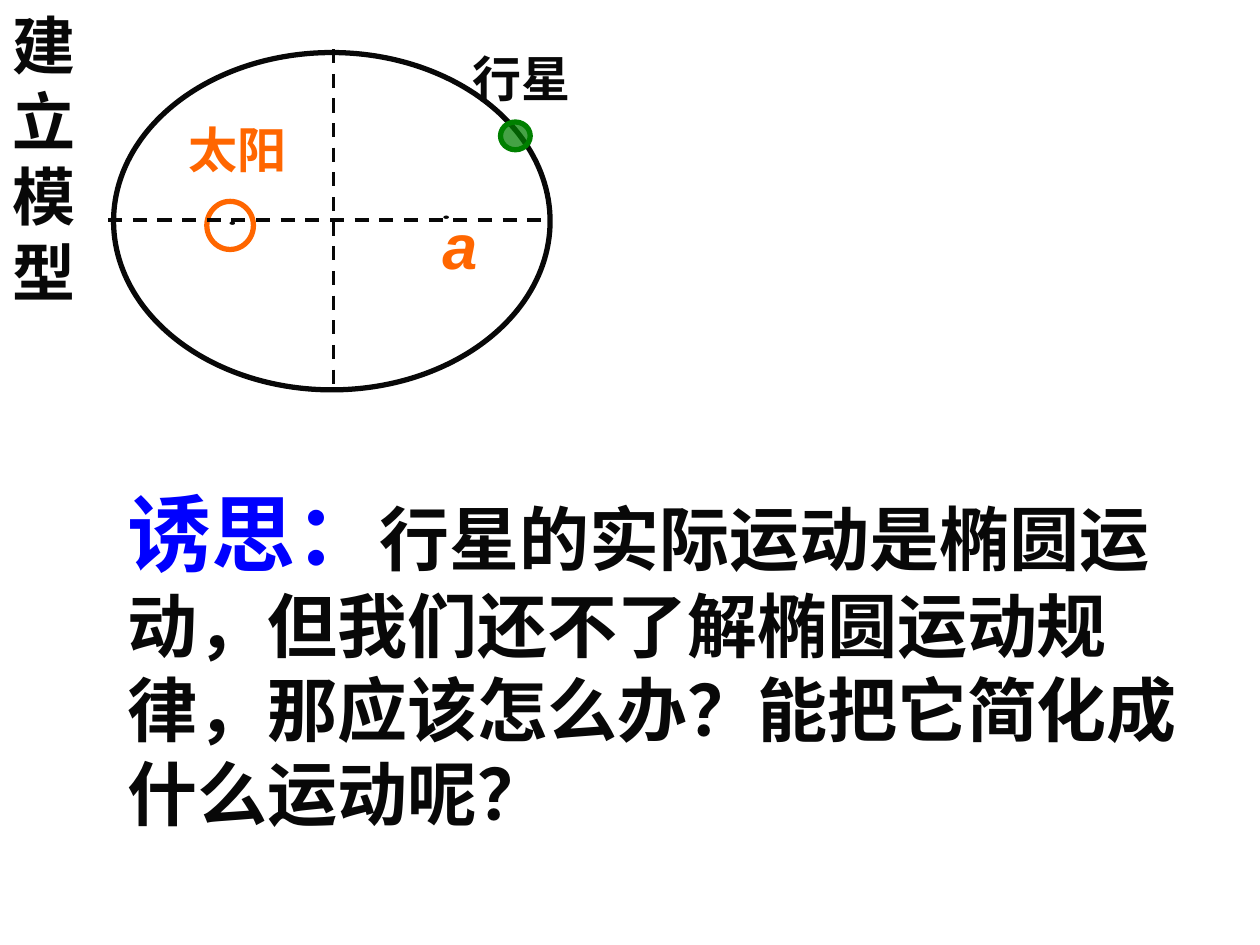
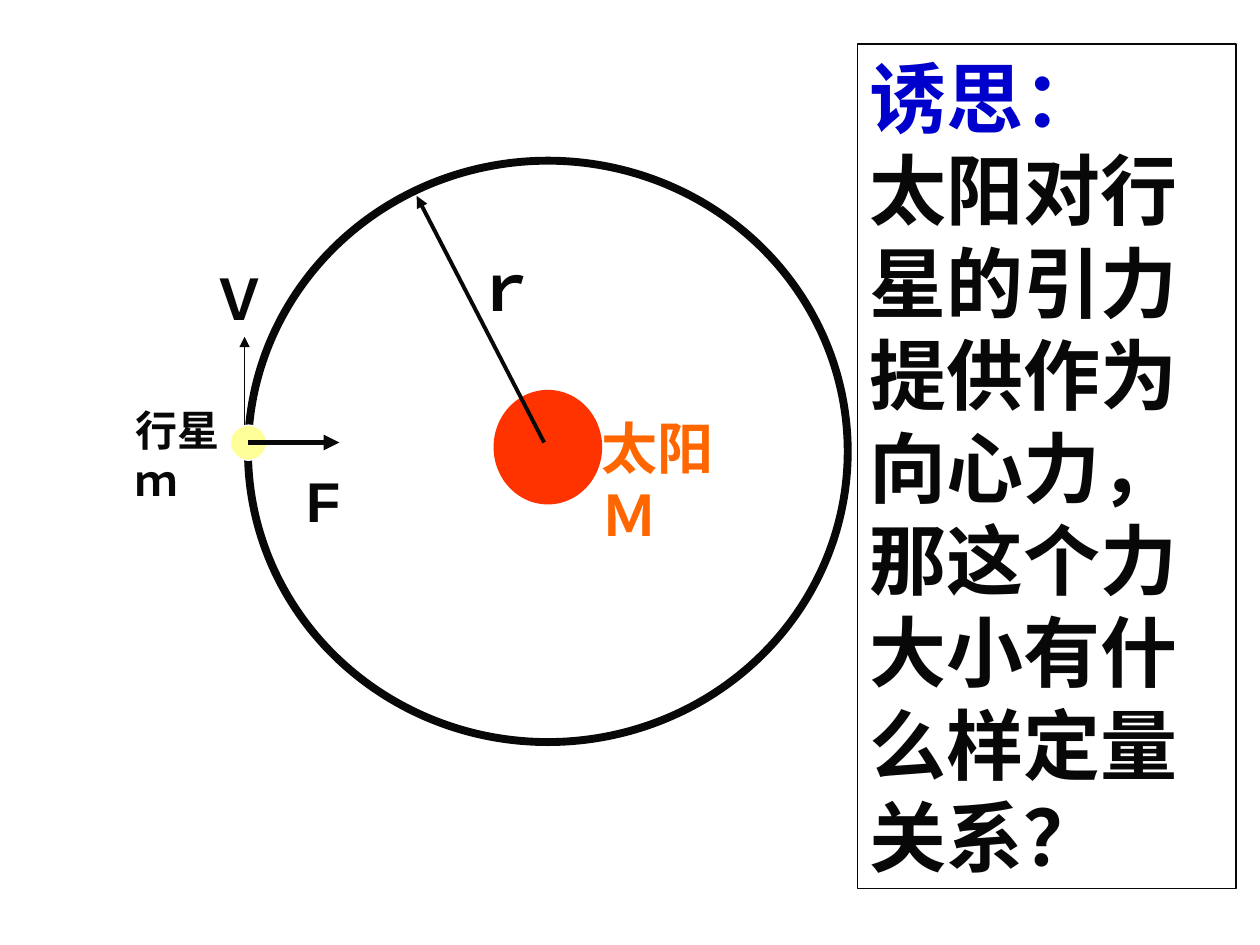
import lxml.etree
import pptx
import pptx.dml.color
import pptx.enum.dml
import pptx.enum.shapes
import pptx.enum.text
import pptx.oxml.ns
import pptx.util

Cm = pptx.util.Cm
Pt = pptx.util.Pt
qn = pptx.oxml.ns.qn
KIND = pptx.enum.shapes.MSO_SHAPE
ALIGN = pptx.enum.text.PP_ALIGN
ANCHOR = pptx.enum.text.MSO_ANCHOR
FIT = pptx.enum.text.MSO_AUTO_SIZE


class Theme:
    ink, white = "080808", "FFFFFF"
    orange, red = "FF6600", "FF3300"
    green, yellow = "008000", "FFFF99"
    blue, navy = "0000FF", "0000CC"
    sans, serif = "Arial", "Times New Roman"
    tiny, small, mid, large, panel, head = 24, 28, 32, 36, 44, 48
    body = 40
    hair, thin, firm, bold, ring = 0.75, 2, 2.25, 3, 4.5


def tint(code):
    return pptx.dml.color.RGBColor.from_string(code)


def apply(target, values):
    for name, value in values.items():
        setattr(target, name, value)


def style(size, color=Theme.ink, face=Theme.sans, **more):
    return {"size": Pt(size), "name": face, "bold": True, "color": color, **more}


def write(shape, paras, align=ALIGN.LEFT, **frame):
    """Fill a shape with paragraphs, each a list of (text, style) runs.

    Punctuation stays inside the right margin.
    """
    apply(shape.text_frame, {"word_wrap": True, **frame})
    for i, runs in enumerate(paras):
        para = shape.text_frame.add_paragraph() if i else shape.text_frame.paragraphs[0]
        para.alignment = align
        para._p.get_or_add_pPr().set("hangingPunct", "0")
        for text, form in runs:
            run = para.add_run()
            run.text = text
            apply(run.font, {k: v for k, v in form.items() if k != "color"})
            run.font.color.rgb = tint(form["color"])


def label(group, box, spot, lines, form, wrap=True):
    """Add a text box at spot, measured from the corner of box."""
    x, y, w, h = spot
    text = group.shapes.add_textbox(Cm(box[0] + x), Cm(box[1] + y), Cm(w), Cm(h))
    write(text, [[(line, form)] for line in lines],
          word_wrap=wrap, auto_size=FIT.SHAPE_TO_FIT_TEXT)


def draw(group, box, spot, fill=None, line=None, width=Theme.bold,
         alpha=None, kind=KIND.OVAL):
    """Add a preset shape at spot, measured from the corner of box."""
    x, y, w, h = spot
    shape = group.shapes.add_shape(kind, Cm(box[0] + x), Cm(box[1] + y), Cm(w), Cm(h))
    shape.shadow.inherit = False
    for paint, color in ((shape.fill, fill), (shape.line.fill, line)):
        if color:
            paint.solid()
            paint.fore_color.rgb = tint(color)
        else:
            paint.background()
    if line:
        shape.line.width = Pt(width)
    if alpha:
        color = shape._element.spPr.find(qn("a:solidFill"))[0]
        lxml.etree.SubElement(color, qn("a:alpha"), val=str(alpha * 1000))
    return shape


def link(group, box, ends, width, dash=False, arrow=False):
    """Add a straight line whose ends are measured from the corner of box."""
    x1, y1, x2, y2 = ends
    line = group.shapes.add_connector(
        pptx.enum.shapes.MSO_CONNECTOR.STRAIGHT,
        Cm(box[0] + x1), Cm(box[1] + y1), Cm(box[0] + x2), Cm(box[1] + y2))
    line.line.color.rgb = tint(Theme.ink)
    line.line.width = Pt(width)
    if dash:
        line.line.dash_style = pptx.enum.dml.MSO_LINE.DASH
    props = line._element.spPr
    if arrow:
        lxml.etree.SubElement(props.find(qn("a:ln")), qn("a:tailEnd"), type="triangle")
    lxml.etree.SubElement(props, qn("a:effectLst"))


def banner(slide, box):
    shape = draw(slide, box, (0, 0, *box[2:]), Theme.white, alpha=30, kind=KIND.RECTANGLE)
    write(shape, [[("建立模型", style(Theme.large))]], ALIGN.CENTER,
          vertical_anchor=ANCHOR.TOP)


def question(slide, box):
    text = slide.shapes.add_textbox(*map(Cm, box))
    runs = [("诱思：", style(Theme.head, Theme.blue, Theme.serif)),
            ("行星的实际运动是椭圆运动，但我们还不了解椭圆运动规律，"
             "那应该怎么办？能把它简化成什么运动呢？",
             style(Theme.body, face=Theme.serif))]
    write(text, [runs], vertical_anchor=ANCHOR.MIDDLE, auto_size=FIT.SHAPE_TO_FIT_TEXT)


def ellipse(slide, box):
    """Draw the real orbit with its axes and both focal points."""
    group = slide.shapes.add_group_shape()
    draw(group, box, (0, 0, *box[2:]), line=Theme.ink)
    for x, y in ((2.28, 3.35), (6.59, 3.23)):
        draw(group, box, (x, y, 0.23, 0.18), Theme.ink, Theme.white)
    draw(group, box, (1.88, 3, 0.94, 0.97), line=Theme.orange)
    label(group, box, (1.26, 1.23, 4.09, 1.45), ["太阳"], style(Theme.small, Theme.orange))
    draw(group, box, (7.8, 1.4, 0.6, 0.56), Theme.green, Theme.green, alpha=73)
    label(group, box, (6.99, -0.21, 4.09, 1.45), ["行星"], style(Theme.small))
    for ends in ((-0.11, 3.38, 8.74, 3.38), (4.43, -0.07, 4.43, 6.83)):
        link(group, box, ends, Theme.thin, dash=True)
    label(group, box, (6.38, 2.98, 4.09, 1.78), ["a"],
          style(Theme.large, Theme.orange, italic=True))


def panel(slide, box):
    shape = draw(slide, box, (0, 0, *box[2:]), line=Theme.ink, width=Theme.hair,
                 kind=KIND.RECTANGLE)
    paras = [[("诱思：", style(Theme.panel, Theme.navy, Theme.serif))],
             [("太阳对行星的引力提供作为向心力，那这个力大小有什么样定量关系？",
               style(Theme.panel, face=Theme.serif))]]
    write(shape, paras, vertical_anchor=ANCHOR.MIDDLE, auto_size=FIT.SHAPE_TO_FIT_TEXT)


def circle(slide, box):
    """Draw the round orbit with its radius, speed and force."""
    group = slide.shapes.add_group_shape()
    draw(group, box, (0, 0, *box[2:]), line=Theme.ink, width=Theme.ring)
    draw(group, box, (4.95, 4.62, 2.19, 2.31), Theme.red)
    draw(group, box, (-0.36, 5.33, 0.74, 0.71), Theme.yellow, Theme.white, Theme.hair)
    for ends, width in (((0, 5.68, 1.84, 5.68), Theme.bold),
                        ((5.97, 5.68, 3.4, 0.71), Theme.firm),
                        ((-0.07, 5.33, -0.07, 3.55), Theme.hair)):
        link(group, box, ends, width, arrow=True)
    label(group, box, (0.92, 6.03, 1.27, 1.6), ["F"], style(Theme.mid))
    for spot, lines, size, color in (
            ((6.88, 4.97, 2.77, 2.97), ["太阳", "Ｍ"], Theme.mid, Theme.orange),
            ((-2.51, 4.79, 2.21, 2.29), ["行星", "ｍ"], Theme.tiny, Theme.ink),
            ((4.32, 1.64, 1.78, 1.78), ["ｒ"], Theme.large, Theme.ink),
            ((-0.99, 1.97, 1.65, 1.6), ["Ｖ"], Theme.mid, Theme.ink)):
        label(group, box, spot, lines, style(size, color, Theme.serif), wrap=False)


def main():
    deck = pptx.Presentation()
    apply(deck, {"slide_width": Cm(25.4), "slide_height": Cm(19.05)})
    blank = deck.slide_layouts[6]

    model = deck.slides.add_slide(blank)
    banner(model, (0, 0.01, 1.6, 6.78))
    question(model, (2.33, 9.58, 21.84, 7.37))
    ellipse(model, (2.29, 1.06, 8.8, 6.8))

    force = deck.slides.add_slide(blank)
    panel(force, (17.28, 0.89, 7.64, 17.02))
    circle(force, (5, 3.24, 12.09, 11.72))

    deck.save("out.pptx")


if __name__ == "__main__":
    main()
